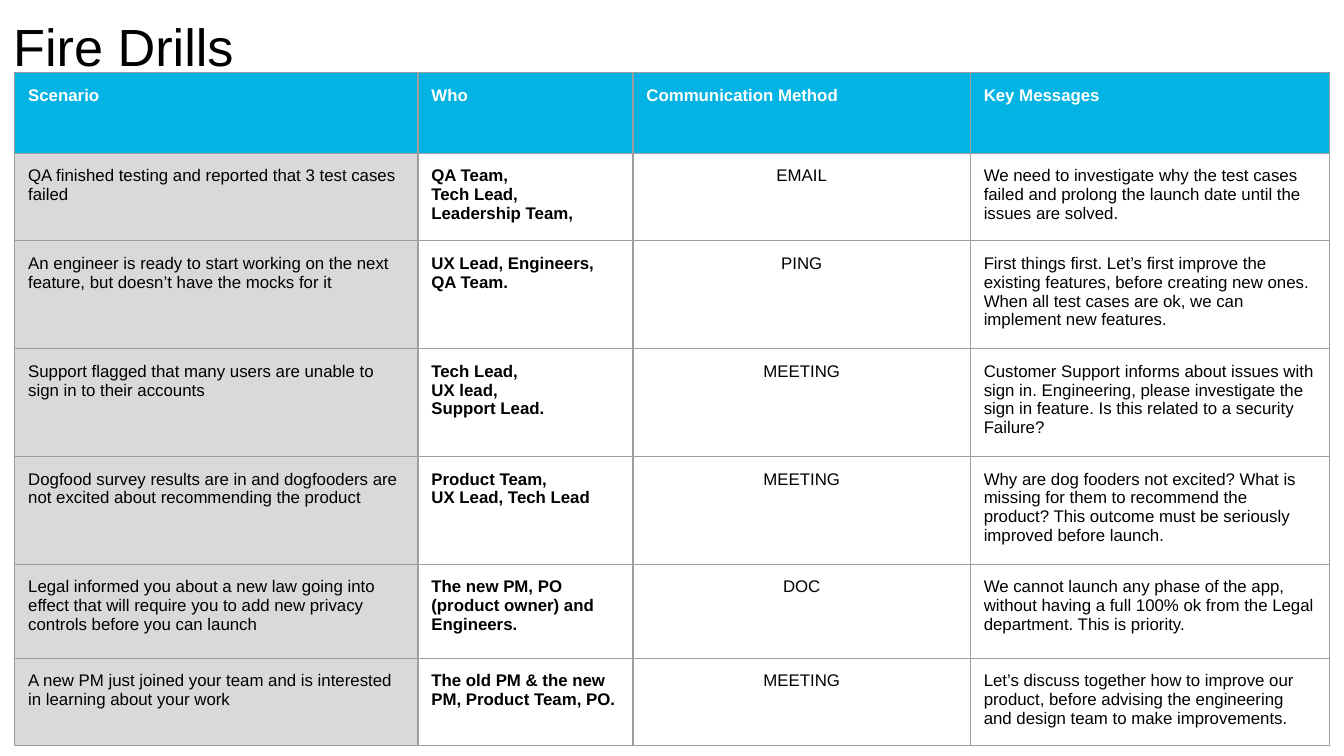
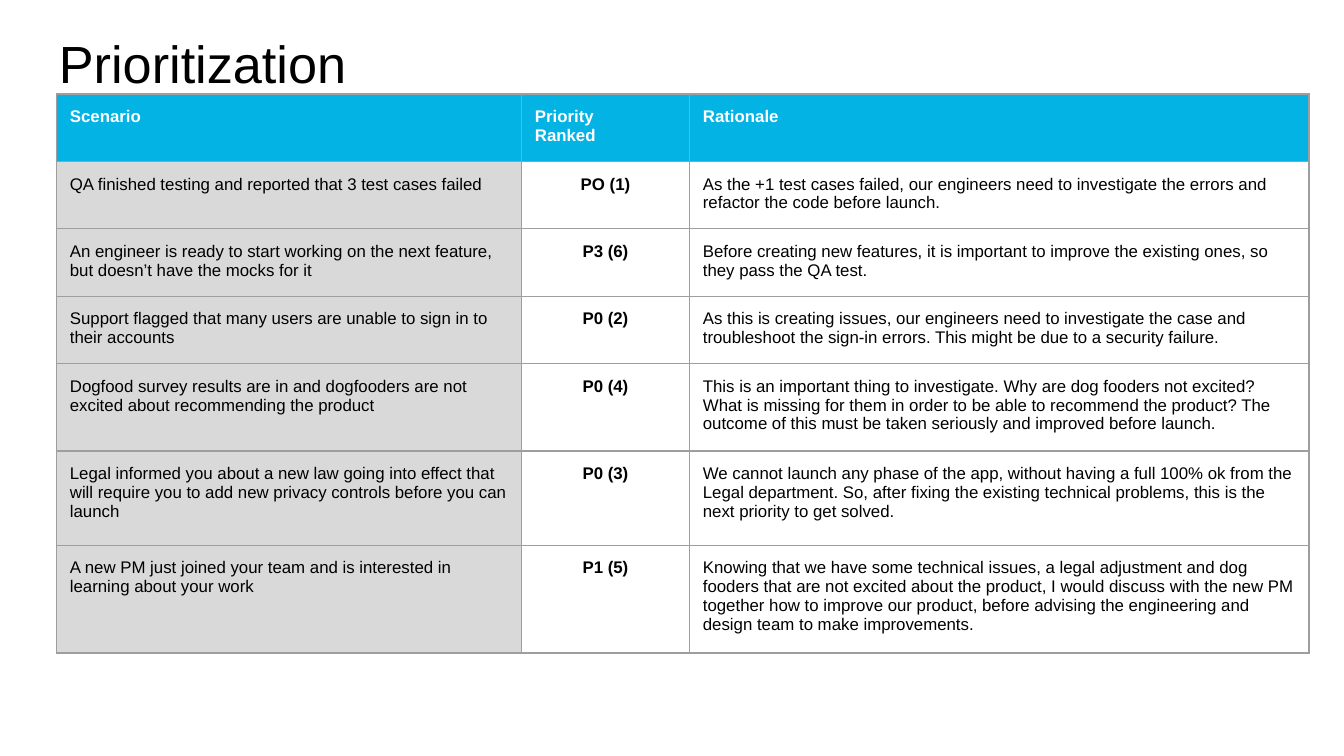
from dataclasses import dataclass

from lxml.etree import SubElement as add_element
from pptx import Presentation
from pptx.dml.color import RGBColor as Color
from pptx.enum.text import MSO_ANCHOR as Anchor, PP_ALIGN as Align
from pptx.oxml.ns import qn
from pptx.util import Inches, Pt


@dataclass(frozen=True)
class Theme:
    font: str = "Arial"
    title_size: int = 28
    table_size: int = 9
    text: str = "000000"
    header_text: str = "FFFFFF"
    header_fill: str = "02B3E4"
    scenario_fill: str = "D9D9D9"
    border: str = "9E9E9E"
    border_width: float = 0.75
    inset: float = 0.1


theme = Theme()

scenarios = [
    "QA finished testing and reported that 3 test cases failed",
    "An engineer is ready to start working on the next feature, but doesn’t have the mocks for it",
    "Support flagged that many users are unable to sign in to their accounts",
    "Dogfood survey results are in and dogfooders are not excited about recommending the product",
    "Legal informed you about a new law going into effect that will require you to add new privacy "
    "controls before you can launch",
    "A new PM just joined your team and is interested in learning about your work",
]

fire_drills = {
    "title": "Fire Drills",
    "title_at": (0, 0.01),
    "table_at": (0.11, 0.54),
    "widths": [3, 1.6, 2.51, 2.67],
    "heights": [0.6, 0.43, 0.7, 0.43, 0.7, 0.7, 0.43],
    "centred_column": 2,
    "header": ["Scenario", "Who", "Communication Method", "Key Messages"],
    "answers": [
        ["QA Team,\nTech Lead,\nLeadership Team,", "EMAIL",
         "We need to investigate why the test cases failed and prolong the launch date until the "
         "issues are solved."],
        ["UX Lead, Engineers, QA Team.", "PING",
         "First things first. Let’s first improve the existing features, before creating new ones. "
         "When all test cases are ok, we can implement new features."],
        ["Tech Lead,\nUX lead,\nSupport Lead.", "MEETING",
         "Customer Support informs about issues with sign in. Engineering, please investigate the "
         "sign in feature. Is this related to a security Failure?"],
        ["Product Team,\nUX Lead, Tech Lead", "MEETING",
         "Why are dog fooders not excited? What is missing for them to recommend the product? "
         "This outcome must be seriously improved before launch."],
        ["The new PM, PO (product owner) and Engineers.", "DOC",
         "We cannot launch any phase of the app, without having a full 100% ok from the Legal "
         "department. This is priority."],
        ["The old PM & the new PM, Product Team, PO.", "MEETING",
         "Let’s discuss together how to improve our product, before advising the engineering and "
         "design team to make improvements."],
    ],
}

prioritization = {
    "title": "Prioritization",
    "title_at": (0.34, 0.13),
    "table_at": (0.42, 0.7),
    "widths": [3.46, 1.25, 4.61],
    "heights": [0.43, 0.43, 0.43, 0.43, 0.43, 0.7, 0.43],
    "centred_column": 1,
    "header": ["Scenario", "Priority\nRanked", "Rationale"],
    "answers": [
        ["PO (1)",
         "As the +1 test cases failed, our engineers need to investigate the errors and refactor "
         "the code before launch."],
        ["P3 (6)",
         "Before creating new features, it is important to improve the existing ones, so they pass "
         "the QA test."],
        ["P0 (2)",
         "As this is creating issues, our engineers need to investigate the case and troubleshoot "
         "the sign-in errors. This might be due to a security failure."],
        ["P0 (4)",
         "This is an important thing to investigate. Why are dog fooders not excited? What is "
         "missing for them in order to be able to recommend the product? The outcome of this must "
         "be taken seriously and improved before launch."],
        ["P0 (3)",
         "We cannot launch any phase of the app, without having a full 100% ok from the Legal "
         "department. So, after fixing the existing technical problems, this is the next priority "
         "to get solved."],
        ["P1 (5)",
         "Knowing that we have some technical issues, a legal adjustment and dog fooders that are "
         "not excited about the product, I would discuss with the new PM together how to improve "
         "our product, before advising the engineering and design team to make improvements."],
    ],
}


def style_font(paragraph, size, color, bold=False):
    paragraph.font.name = theme.font
    paragraph.font.size = Pt(size)
    paragraph.font.bold = bold
    paragraph.font.color.rgb = Color.from_string(color)


def add_borders(cell):
    properties = cell._tc.get_or_add_tcPr()
    for side in ("a:lnL", "a:lnR", "a:lnT", "a:lnB"):
        line = add_element(properties, qn(side), w=str(Pt(theme.border_width)))
        fill = add_element(line, qn("a:solidFill"))
        add_element(fill, qn("a:srgbClr"), val=theme.border)


presentation = Presentation()
presentation.slide_width = Inches(10)
presentation.slide_height = presentation.slide_width * 9 // 16

for content in (fire_drills, prioritization):
    slide = presentation.slides.add_slide(presentation.slide_layouts[6])

    left, top = content["title_at"]
    title = slide.shapes.add_textbox(Inches(left), Inches(top), Inches(9.32), Inches(0.63))
    frame = title.text_frame
    frame.word_wrap = True
    frame.vertical_anchor = Anchor.TOP
    frame.margin_left = frame.margin_right = Inches(theme.inset)
    frame.margin_top = frame.margin_bottom = Inches(theme.inset)
    frame.text = content["title"]
    style_font(frame.paragraphs[0], theme.title_size, theme.text)

    answers = content["answers"]
    rows = [content["header"]] + [[scenario, *answer] for scenario, answer in zip(scenarios, answers)]
    widths, heights = content["widths"], content["heights"]
    left, top = content["table_at"]
    table = slide.shapes.add_table(
        len(rows), len(widths), Inches(left), Inches(top), Inches(sum(widths)), Inches(sum(heights))
    ).table
    table.first_row = table.horz_banding = False
    for column, width in zip(table.columns, widths):
        column.width = Inches(width)
    for row, height in zip(table.rows, heights):
        row.height = Inches(height)

    for row_index, row in enumerate(rows):
        for column_index, text in enumerate(row):
            is_header = row_index == 0
            cell = table.cell(row_index, column_index)
            cell.text = text
            cell.margin_left = cell.margin_right = Inches(theme.inset)
            cell.margin_top = cell.margin_bottom = Inches(theme.inset)
            add_borders(cell)
            if is_header or column_index == 0:
                cell.fill.solid()
                fill_color = theme.header_fill if is_header else theme.scenario_fill
                cell.fill.fore_color.rgb = Color.from_string(fill_color)
            else:
                cell.fill.background()
            centred = not is_header and column_index == content["centred_column"]
            for paragraph in cell.text_frame.paragraphs:
                paragraph.alignment = Align.CENTER if centred else Align.LEFT
                style_font(
                    paragraph,
                    theme.table_size,
                    theme.header_text if is_header else theme.text,
                    bold=is_header or column_index == 1,
                )

presentation.save("out.pptx")
